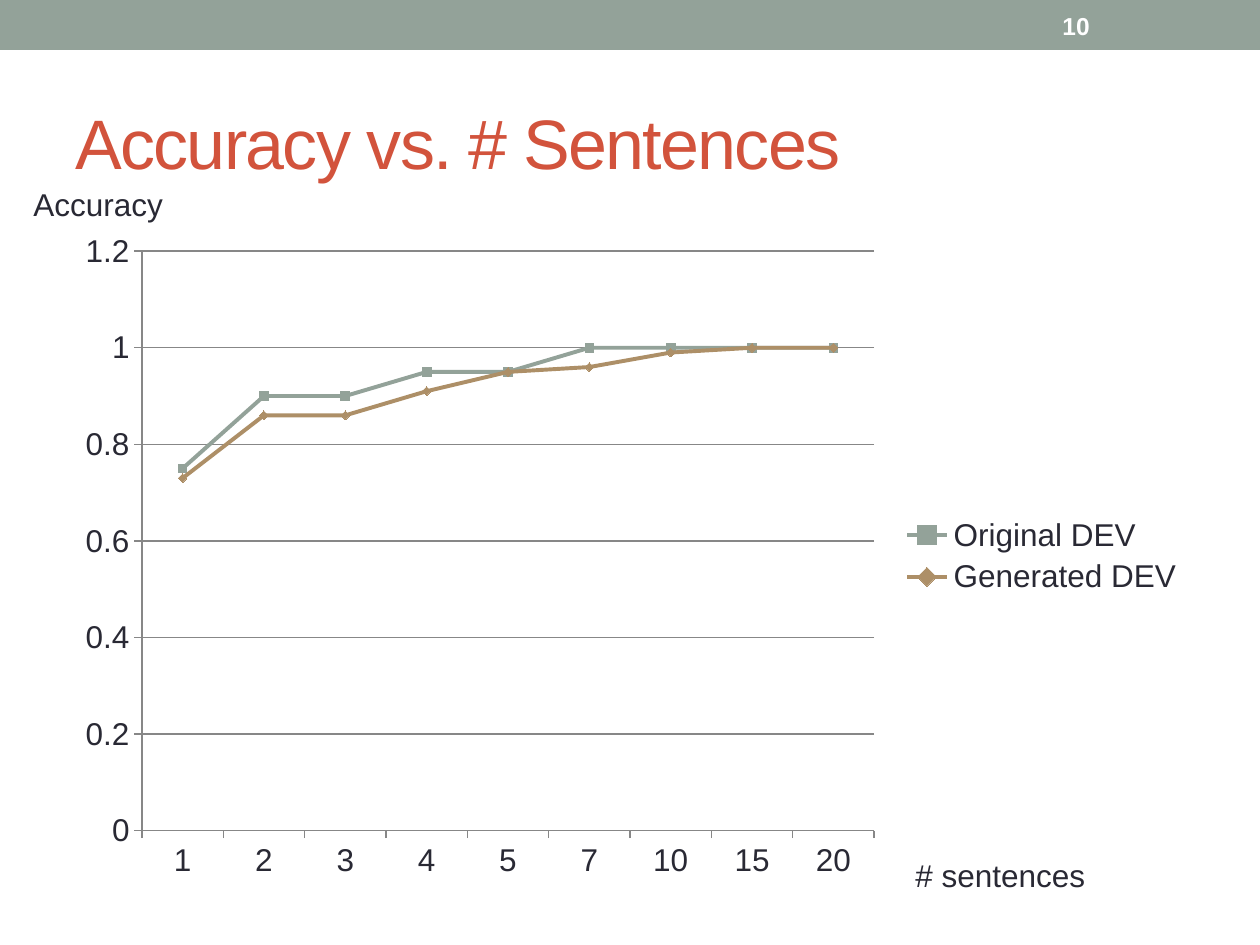
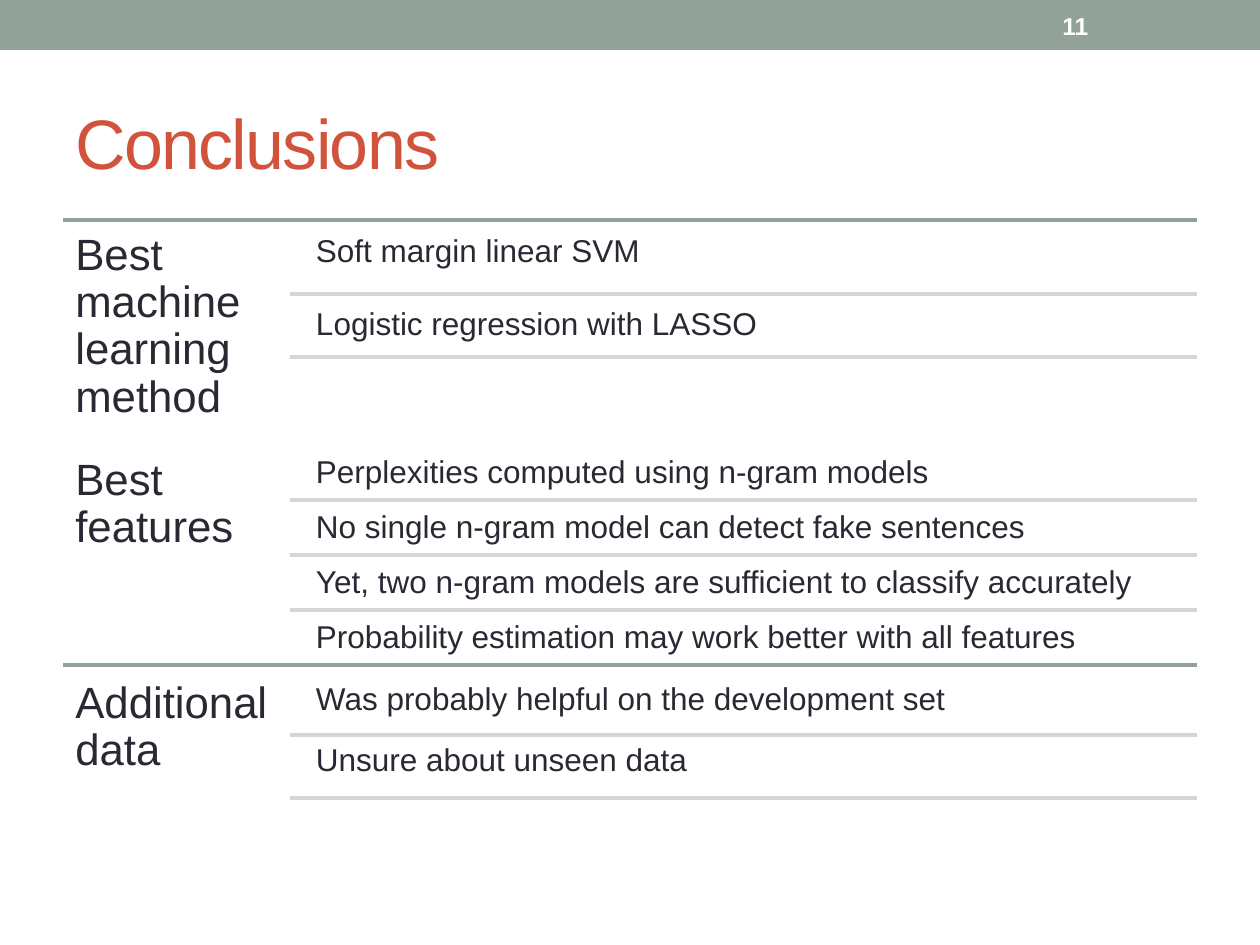
from lxml.etree import SubElement
from pptx import Presentation
from pptx.chart.data import CategoryChartData
from pptx.dml.color import RGBColor
from pptx.enum.chart import XL_CHART_TYPE as ChartType, XL_LEGEND_POSITION as LegendSide
from pptx.enum.chart import XL_MARKER_STYLE as Marker, XL_TICK_MARK as Tick
from pptx.enum.shapes import MSO_CONNECTOR as Connector, MSO_SHAPE as Shape
from pptx.enum.text import MSO_ANCHOR as Anchor, PP_ALIGN as Align
from pptx.oxml.ns import qn
from pptx.util import Pt

SCALE = 914400 / 126  # EMU in one pixel
FONT = "Arial"
COLORS = {name: RGBColor.from_string(code) for name, code in {
    "sage": "93A299", "tan": "AD8F67", "title": "D2533C", "text": "292934",
    "rule": "D2D7D4", "axis": "878787", "white": "FFFFFF"}.items()}


def add_text(page, text, left, top, width, height, size=18, color="text", inset=None):
    """Add a wrapped one-paragraph text box; an inset in pixels applies to all sides."""
    box = page.shapes.add_textbox(*(round(n * SCALE) for n in (left, top, width, height)))
    frame = box.text_frame
    frame.word_wrap = True
    if inset is not None:
        frame.margin_left = frame.margin_right = round(inset * SCALE)
        frame.margin_top = frame.margin_bottom = round(inset * SCALE)
    para = frame.paragraphs[0]
    para.text = text
    para.font.name, para.font.size = FONT, Pt(size)
    para.font.color.rgb = COLORS[color]
    return box


def add_rule(page, left, right, y, color):
    """Draw a horizontal rule without a shadow."""
    rule = page.shapes.add_connector(
        Connector.STRAIGHT, *(round(n * SCALE) for n in (left, y, right, y)))
    rule.line.color.rgb = COLORS[color]
    rule.line.width = Pt(2.08)
    SubElement(rule._element.spPr, qn("a:effectLst"))


deck = Presentation()
deck.slide_width, deck.slide_height = round(1260 * SCALE), round(945 * SCALE)

# Band, title and page number on both slides
pages = []
for number, title in ((10, "Accuracy vs. # Sentences"), (11, "Conclusions")):
    page = deck.slides.add_slide(deck.slide_layouts[5])
    pages.append(page)
    band = page.shapes.add_shape(Shape.RECTANGLE, 0, 0, deck.slide_width, round(50 * SCALE))
    band.shadow.inherit = False
    band.fill.solid()
    band.fill.fore_color.rgb = COLORS["sage"]
    band.line.fill.background()

    heading = page.shapes.title
    heading.left, heading.top, heading.width, heading.height = (
        round(n * SCALE) for n in (63, 73, 1134, 136))
    heading.text_frame.text = title
    heading.text_frame.vertical_anchor = Anchor.MIDDLE
    para = heading.text_frame.paragraphs[0]
    para.alignment = Align.LEFT
    para.font.name, para.font.size = FONT, Pt(40)
    para.font.color.rgb = COLORS["title"]
    para.runs[0].font._element.set("spc", "-100")

    number_box = add_text(page, str(number), 1050, 3, 147, 45, 14, "white")
    number_box.text_frame.vertical_anchor = Anchor.MIDDLE
    number_box.text_frame.paragraphs[0].font.bold = True

chart_page, conclusions_page = pages

# Accuracy chart
data = CategoryChartData()
data.categories = ["1", "2", "3", "4", "5", "7", "10", "15", "20"]
data.add_series("Original DEV", (0.75, 0.9, 0.9, 0.95, 0.95, 1, 1, 1, 1))
data.add_series("Generated DEV", (0.73, 0.86, 0.86, 0.91, 0.95, 0.96, 0.99, 1, 1))
chart = chart_page.shapes.add_chart(
    ChartType.LINE_MARKERS, *(round(n * SCALE) for n in (63, 220, 1134, 672)), data).chart
chart.has_title = False
chart.font.name, chart.font.size = FONT, Pt(18)
chart.font.color.rgb = COLORS["text"]
chart.has_legend = True
chart.legend.position = LegendSide.RIGHT
chart.legend.include_in_layout = False
chart.plots[0].vary_by_categories = False

styles = (("sage", Marker.SQUARE), ("tan", Marker.DIAMOND))
for series, (color, marker) in zip(chart.plots[0].series, styles):
    series.smooth = False
    series.format.line.color.rgb = COLORS[color]
    series.format.line.width = Pt(2.25)
    series.marker.style, series.marker.size = marker, 5
    series.marker.format.fill.solid()
    series.marker.format.fill.fore_color.rgb = COLORS[color]
    series.marker.format.line.color.rgb = COLORS[color]

value_axis = chart.value_axis
value_axis.minimum_scale, value_axis.maximum_scale, value_axis.major_unit = 0, 1.2, 0.2
value_axis.has_major_gridlines = True
value_axis.major_gridlines.format.line.color.rgb = COLORS["axis"]
for axis in (chart.category_axis, value_axis):
    axis.major_tick_mark, axis.minor_tick_mark = Tick.OUTSIDE, Tick.NONE
    axis.format.line.color.rgb = COLORS["axis"]

add_text(chart_page, "# sentences", 903, 850, 221, 51)
add_text(chart_page, "Accuracy", 21, 179, 168, 51)

# Conclusions: label, label top, first text and step, first rule and step, points
sections = (
    ("Best machine learning method", 220, 226, 73, 294, 63,
     ("Soft margin linear SVM", "Logistic regression with LASSO")),
    ("Best features", 445, 447, 55, 500, 55,
     ("Perplexities computed using n-gram models",
      "No single n-gram model can detect fake sentences",
      "Yet, two n-gram models are sufficient to classify accurately",
      "Probability estimation may work better with all features")),
    ("Additional data", 668, 674, 61, 735, 63,
     ("Was probably helpful on the development set", "Unsure about unseen data")),
)
for label, label_top, text_top, text_step, rule_top, rule_step, points in sections:
    boxes = [add_text(conclusions_page, label, 63, label_top, 227, 224, 25, inset=12.6)]
    for row, point in enumerate(points):
        boxes.append(add_text(conclusions_page, point, 307, text_top + row * text_step,
                              890, text_step, inset=9))
        add_rule(conclusions_page, 290, 1197, rule_top + row * rule_step, "rule")
    for box in boxes:
        box.text_frame.paragraphs[0].line_spacing = 0.9
for y in (220, 665):
    add_rule(conclusions_page, 63, 1197, y, "sage")

deck.save("out.pptx")
